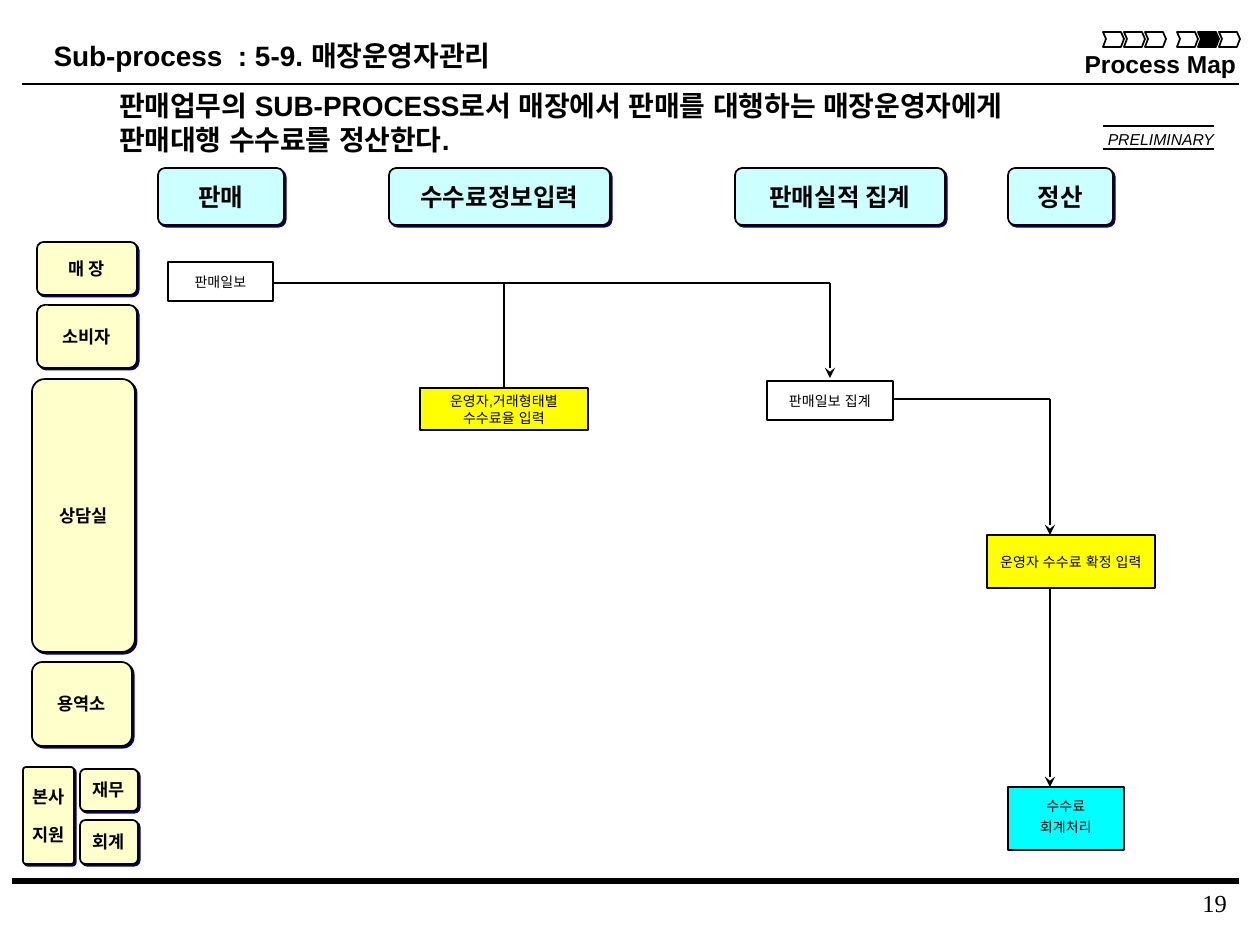
from pptx import Presentation, util as u
from pptx.dml.color import RGBColor
from pptx.enum import shapes as kinds, text as t
from pptx.oxml.ns import qn
from lxml import etree

PX = 914400 / 126
BLACK, CREAM, ICE = "000000", "FFFFCC", "CCFFFF"
WHITE, YELLOW, CYAN = "FFFFFF", "FFFF00", "00FFFF"
SHADOW = "000066"
KOREAN = "Noto Sans CJK KR"
PLAIN = (13, 6, 13, 6)
TIGHT = (3, 5, 3, 5)


def px(*lengths):
    return [u.Emu(round(n * PX)) for n in lengths]


def color(value):
    return RGBColor.from_string(value)


def paint(shape, fill=None, width=1):
    if fill:
        shape.fill.solid()
        shape.fill.fore_color.rgb = color(fill)
    else:
        shape.fill.background()
    shape.line.color.rgb = color(BLACK)
    shape.line.width = u.Pt(width)
    shape.shadow.inherit = False


def write(shape, lines, font, insets=PLAIN, wrap=True, anchor=t.MSO_ANCHOR.MIDDLE,
          align=t.PP_ALIGN.CENTER, spacing=None, gap=0):
    """Fill a shape with one paragraph per line; gap is the points between them."""
    frame = shape.text_frame
    left, top, right, bottom = px(*insets)
    settings = dict(margin_left=left, margin_top=top, margin_right=right,
                    margin_bottom=bottom, vertical_anchor=anchor,
                    auto_size=t.MSO_AUTO_SIZE.NONE, word_wrap=wrap)
    for name, value in settings.items():
        setattr(frame, name, value)
    for i, line in enumerate(lines):
        paragraph = frame.paragraphs[0] if i == 0 else frame.add_paragraph()
        paragraph.alignment = align
        paragraph.line_spacing = spacing
        paragraph.space_before = u.Pt(gap if i else 0)
        run = paragraph.add_run()
        run.text = line
        for name, value in font.items():
            setattr(run.font, name, value)
        run.font.color.rgb = color(BLACK)
        latin = run.font._element.find(qn("a:latin"))
        east_asian = etree.Element(qn("a:ea"), typeface=font["name"])
        latin.addnext(east_asian)


def face(name, size, **style):
    return dict(name=name, size=u.Pt(size), **style)


def place(shape, x, y, w, h):
    shape.left, shape.top, shape.width, shape.height = px(x, y, w, h)


def textbox(slide, x, y, w, h, lines, font, **layout):
    write(slide.shapes.add_textbox(*px(x, y, w, h)), lines, font, **layout)


def line(slide, x1, y1, x2, y2, width=1, arrow=False):
    connector = slide.shapes.add_connector(
        kinds.MSO_CONNECTOR.STRAIGHT, *px(x1, y1, x2, y2))
    connector.line.color.rgb = color(BLACK)
    connector.line.width = u.Pt(width)
    if arrow:
        etree.SubElement(connector.line._get_or_add_ln(), qn("a:tailEnd"), type="stealth")
    etree.SubElement(connector._element.spPr, qn("a:effectLst"))
    return connector


def card(slide, x, y, w, h, lines, fill, size, corner=0.125, gap=0):
    """Rounded box with a hard shadow to the lower right."""
    shape = slide.shapes.add_shape(kinds.MSO_SHAPE.ROUNDED_RECTANGLE, *px(x, y, w, h))
    shape.adjustments[0] = corner
    paint(shape, fill)
    effects = shape._element.spPr.find(qn("a:effectLst"))
    shadow = etree.SubElement(effects, qn("a:outerShdw"), dist=str(u.Pt(1.4)),
                              dir="2700000", algn="ctr", rotWithShape="0")
    etree.SubElement(shadow, qn("a:srgbClr"), val=SHADOW)
    write(shape, lines, face(KOREAN, size, bold=True), wrap=False, gap=gap)


def step(slide, x, y, w, h, lines, fill, spacing=None, gap=0):
    shape = slide.shapes.add_shape(kinds.MSO_SHAPE.RECTANGLE, *px(x, y, w, h))
    paint(shape, fill)
    write(shape, lines, face("Arial", 8), insets=TIGHT, spacing=spacing, gap=gap)
    return shape


def chevron(slide, x, y, w, h, fill):
    notch = 3
    builder = slide.shapes.build_freeform(x, y, scale=PX)
    builder.add_line_segments([(x + w - notch, y), (x + w, y + h // 2),
                               (x + w - notch, y + h), (x, y + h),
                               (x + notch, y + h // 2)], close=True)
    paint(builder.convert_to_shape(), fill)


def header(slide, x, y, w, h):
    heading = face("Arial", 16, bold=True)
    title, summary = slide.shapes.title, slide.placeholders[1]
    place(title, x + 15, y, 470, 47)
    write(title, ["Sub-process  : 5-9. 매장운영자관리"], heading, wrap=False)

    place(summary, x + 84, y + 51, 1102, 79)
    write(summary, ["판매업무의 SUB-PROCESS로서 매장에서 판매를 대행하는 매장운영자에게",
                    "판매대행 수수료를 정산한다."],
          heading, anchor=t.MSO_ANCHOR.TOP, align=t.PP_ALIGN.LEFT)
    for paragraph in summary.text_frame.paragraphs:
        properties = paragraph._p.get_or_add_pPr()
        properties.set("marL", "0")
        properties.set("indent", "0")
        etree.SubElement(properties, qn("a:buNone"))

    textbox(slide, x + w - 167, y + 11, 177, 42, ["Process Map"],
            face("Arial", 14, bold=True), wrap=False, anchor=t.MSO_ANCHOR.TOP)
    current = 4
    for i in range(6):
        group_gap = 11 * (i // 3)
        chevron(slide, x + w - 136 + 21 * i + group_gap, y, 21, 15,
                BLACK if i == current else None)
    line(slide, x, y + 52, x + w, y + 52)

    textbox(slide, x + w - 136, y + 96, 111, 22, ["PRELIMINARY"],
            face("Arial", 9, italic=True), insets=(0, 0, 0, 0), align=t.PP_ALIGN.RIGHT)
    for rule_y in (y + 94, y + 117):
        line(slide, x + w - 136, rule_y, x + w - 25, rule_y)


def stages(slide, x, y, h):
    for dx, w, name in ((0, 126, "판매"), (231, 221, "수수료정보입력"),
                        (577, 210, "판매실적 집계"), (850, 105, "정산")):
        card(slide, x + dx, y, w, h, [name], ICE, 14)


def roles(slide, x, y):
    for dx, dy, w, h, name in ((14, 0, 100, 53, "매 장"), (14, 63, 100, 63, "소비자"),
                               (9, 137, 103, 273, "상담실"), (9, 420, 100, 84, "용역소"),
                               (57, 527, 58, 42, "재무"), (57, 578, 58, 44, "회계")):
        card(slide, x + dx, y + dy, w, h, [name], CREAM, 10)
    card(slide, x, y + 525, 51, 97, ["본사", "지원"], CREAM, 10, corner=0.06, gap=9.5)


def flow(slide, x, y):
    step(slide, x, y, 105, 39, ["판매일보"], WHITE)
    rate_entry = step(slide, x + 252, y + 126, 168, 42,
                      ["운영자,거래형태별 수수료율 입력"], YELLOW)
    step(slide, x + 599, y + 119, 126, 39, ["판매일보 집계"], WHITE)
    step(slide, x + 819, y + 273, 168, 53, ["운영자 수수료 확정 입력"], YELLOW)
    step(slide, x + 840, y + 525, 116, 63, ["수수료", "회계처리"], CYAN,
         spacing=0.7, gap=5)

    for x1, y1, x2, y2, arrow in ((105, 21, 662, 21, False), (662, 21, 662, 116, True),
                                  (725, 137, 882, 137, False), (882, 137, 882, 273, True),
                                  (882, 326, 882, 525, True)):
        line(slide, x + x1, y + y1, x + x2, y + y2, arrow=arrow)
    branch = line(slide, x + 336, y + 21, x + 336, y + 126)
    branch.end_connect(rate_entry, 0)


def footer(slide, x, y, w):
    for start in (x, x + 9):
        line(slide, start, y, start + w, y, width=3.75)
    textbox(slide, x + 997, y + 1, 231, 32, ["19"], face("Times New Roman", 14),
            anchor=t.MSO_ANCHOR.TOP, align=t.PP_ALIGN.RIGHT)


def main():
    deck = Presentation()
    deck.slide_width, deck.slide_height = px(1260, 945)
    slide = deck.slides.add_slide(deck.slide_layouts[1])
    header(slide, 22, 32, 1217, 130)
    stages(slide, 158, 168, 57)
    roles(slide, 23, 242)
    flow(slide, 168, 262)
    footer(slide, 12, 881, 1218)
    deck.save("out.pptx")


if __name__ == "__main__":
    main()
